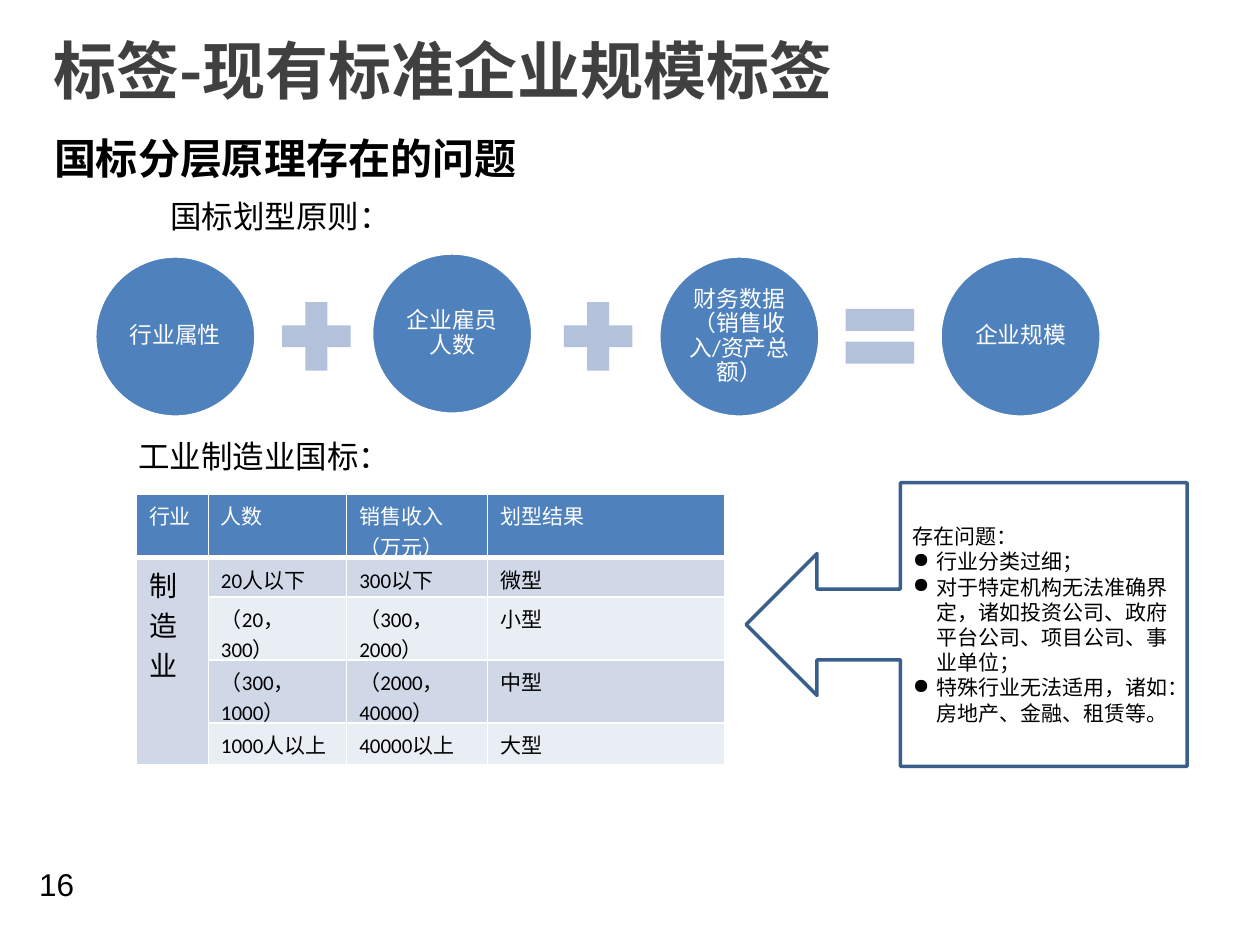
import lxml.etree
import pptx
import pptx.dml.color
import pptx.enum.shapes
import pptx.enum.text
import pptx.oxml.ns
import pptx.util

Cm = pptx.util.Cm
Pt = pptx.util.Pt
SHAPES = pptx.enum.shapes.MSO_SHAPE
ALIGN = pptx.enum.text.PP_ALIGN
ANCHOR = pptx.enum.text.MSO_ANCHOR
qn = pptx.oxml.ns.qn

COLOURS = {
    "blue": "4F81BD", "operator": "B3C1DB", "outline": "3A5F8C", "band": "D0D8E8",
    "light": "E9EDF4", "title": "404040", "black": "000000", "white": "FFFFFF",
}


class SlideBuilder:
    """Holds the colours and the current slide, and adds elements to it."""

    def __init__(self, slide, colours):
        self.slide = slide
        self.colours = {name: pptx.dml.color.RGBColor.from_string(value)
                        for name, value in colours.items()}

    def apply(self, target, values):
        for attribute, value in values.items():
            setattr(target, attribute, value)

    def fill_text(self, frame, lines, size, colour="black", font="Calibri", bold=False,
                  east_asian=None, frame_format=None, paragraph_format=None):
        self.apply(frame, {"word_wrap": True, **(frame_format or {})})
        for index, line in enumerate(lines):
            paragraph = frame.add_paragraph() if index else frame.paragraphs[0]
            self.apply(paragraph, {"alignment": ALIGN.LEFT, **(paragraph_format or {})})
            run = paragraph.add_run()
            run.text = line
            self.apply(run.font, {"size": Pt(size), "name": font, "bold": bold})
            run.font.color.rgb = self.colours[colour]
            if east_asian:
                lxml.etree.SubElement(run.font._element, qn("a:ea"), typeface=east_asian)

    def text(self, box, line, size, margin=None, **style):
        frame = self.slide.shapes.add_textbox(*map(Cm, box)).text_frame
        frame_format = {"auto_size": pptx.enum.text.MSO_AUTO_SIZE.SHAPE_TO_FIT_TEXT}
        if margin is not None:
            frame_format.update(margins(margin))
        self.fill_text(frame, [line], size, frame_format=frame_format, **style)

    def shape(self, kind, box, fill=None, line=None):
        shape = self.slide.shapes.add_shape(kind, *map(Cm, box))
        shape.shadow.inherit = False
        if fill:
            shape.fill.solid()
            shape.fill.fore_color.rgb = self.colours[fill]
        else:
            shape.fill.background()
        if line:
            shape.line.color.rgb = self.colours[line]
            shape.line.width = Pt(2)
        else:
            shape.line.fill.background()
        return shape

    def bullet(self, paragraph, indent):
        properties = paragraph._p.get_or_add_pPr()
        properties.set("marL", str(Cm(indent)))
        properties.set("indent", str(-Cm(indent)))
        lxml.etree.SubElement(properties, qn("a:buChar"), char="●")

    def border(self, cell, side, width):
        line = lxml.etree.SubElement(cell._tc.get_or_add_tcPr(), qn(f"a:ln{side}"), w=str(Pt(width)))
        fill = lxml.etree.SubElement(line, qn("a:solidFill"))
        lxml.etree.SubElement(fill, qn("a:srgbClr"), val=str(self.colours["white"]))

    def table(self, box, widths, heights, rows):
        table = self.slide.shapes.add_table(len(rows), len(widths), *map(Cm, box)).table
        for column, width in zip(table.columns, widths):
            column.width = Cm(width)
        for row, height in zip(table.rows, heights):
            row.height = Cm(height)
        for r, row in enumerate(rows):
            for c, value in enumerate(row):
                cell = table.cell(r, c)
                for side in "LRTB":
                    self.border(cell, side, 3 if (r, side) in ((0, "B"), (1, "T")) else 1)
                cell.fill.solid()
                banded = r % 2 == 1 or c == 0
                fill = "blue" if r == 0 else "band" if banded else "light"
                cell.fill.fore_color.rgb = self.colours[fill]
                if value:
                    self.fill_text(cell.text_frame, [value], 16 if r and c == 0 else 12,
                                   "black" if r else "white", east_asian="Noto Sans CJK SC")
        table.cell(1, 0).merge(table.cell(len(rows) - 1, 0))


def margins(value):
    return {f"margin_{side}": Cm(value) for side in ("left", "top", "right", "bottom")}


def main():
    deck = pptx.Presentation()
    deck.slide_width, deck.slide_height = Cm(25.4), Cm(19.05)
    builder = SlideBuilder(deck.slides.add_slide(deck.slide_layouts[6]), COLOURS)

    page_number = builder.shape(SHAPES.OVAL, (0.41, 17.25, 1.27, 1.27))
    builder.fill_text(page_number.text_frame, ["16"], 18, font="Arial",
                      frame_format={"vertical_anchor": ANCHOR.TOP, **margins(0)},
                      paragraph_format={"alignment": ALIGN.RIGHT})
    builder.text((1.07, 0.64, 22.43, 1.55), "标签-现有标准企业规模标签", 36, margin=0,
                 colour="title", font="Noto Sans CJK SC", bold=True,
                 east_asian="Noto Sans CJK SC")
    builder.text((0.84, 2.54, 23.93, 1.3), "国标分层原理存在的问题", 24, font="Arial", bold=True)
    builder.text((3.18, 3.84, 8.26, 1.02), "国标划型原则：", 18, font="Arial")
    builder.text((2.54, 8.69, 6.55, 1.07), "工业制造业国标：", 18, font="Arial")

    factors = [
        (1.91, 5.16, "行业属性"),
        (7.49, 5.1, "企业雇员人数"),
        (13.28, 5.16, "财务数据（销售收入/资产总额）"),
        (18.95, 5.16, "企业规模"),
    ]
    for left, top, label in factors:
        factor = builder.shape(SHAPES.OVAL, (left, top, 3.25, 3.25), "blue", "white")
        builder.fill_text(factor.text_frame, [label], 13, "white",
                          frame_format={"vertical_anchor": ANCHOR.MIDDLE, **margins(0.05)},
                          paragraph_format={"alignment": ALIGN.CENTER, "line_spacing": 0.9})
    operators = (SHAPES.MATH_PLUS, SHAPES.MATH_PLUS, SHAPES.MATH_EQUAL)
    for index, operator in enumerate(operators):
        builder.shape(operator, (5.44 + 5.68 * index, 5.84, 1.88, 1.88), "operator")

    builder.table(
        (2.75, 9.96, 11.86, 5.46), (1.45, 2.79, 2.84, 4.78), (1.28, 0.79, 1.27, 1.27, 0.85),
        [
            ("行业", "人数", "销售收入（万元）", "划型结果"),
            ("制造业", "20人以下", "300以下", "微型"),
            ("", "（20，300）", "（300，2000）", "小型"),
            ("", "（300，1000）", "（2000，40000）", "中型"),
            ("", "1000人以上", "40000以上", "大型"),
        ],
    )

    problems = builder.shape(SHAPES.LEFT_ARROW_CALLOUT, (15.04, 9.73, 8.89, 5.72), line="outline")
    builder.fill_text(problems.text_frame, [
        "存在问题：",
        "行业分类过细；",
        "对于特定机构无法准确界定，诸如投资公司、政府平台公司、项目公司、事业单位；",
        "特殊行业无法适用，诸如：房地产、金融、租赁等。",
    ], 12, frame_format={"vertical_anchor": ANCHOR.MIDDLE})
    for problem in problems.text_frame.paragraphs[1:]:
        builder.bullet(problem, 0.48)

    deck.save("out.pptx")


if __name__ == "__main__":
    main()
